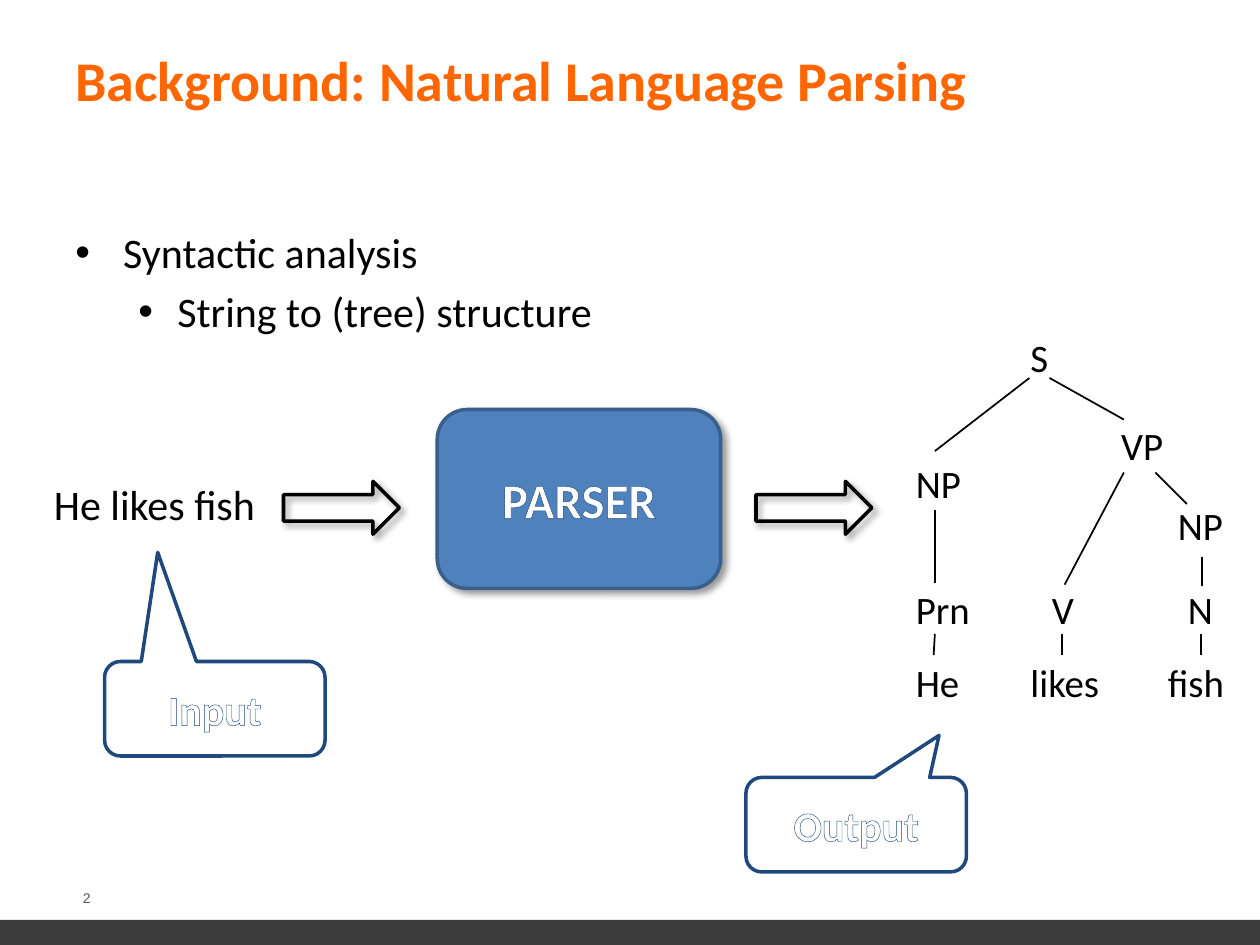
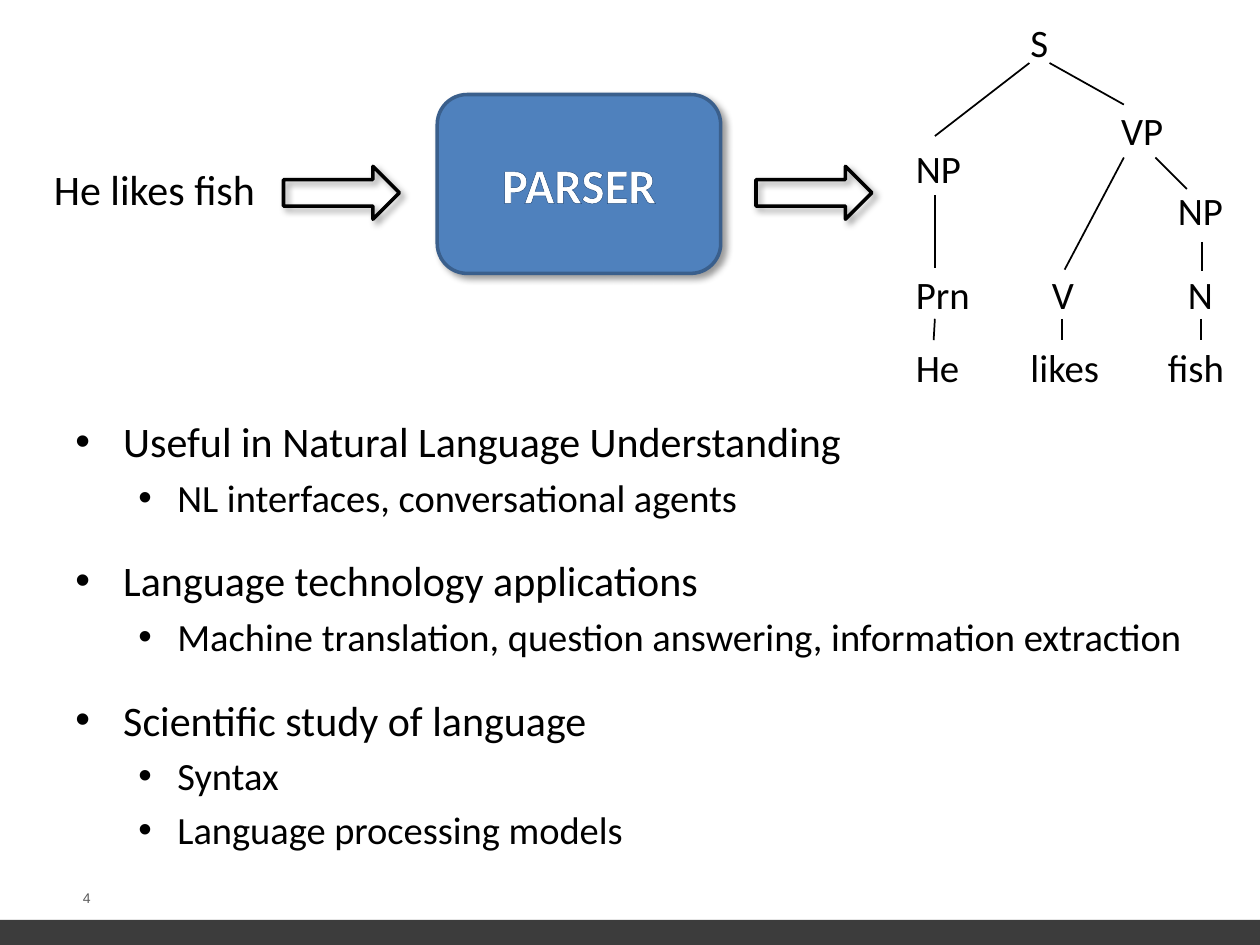
import pptx
import pptx.dml.color
import pptx.enum.shapes
import pptx.enum.text
import pptx.oxml
import pptx.oxml.ns
import pptx.util
from pptx.dml.color import RGBColor
from pptx.enum.shapes import MSO_SHAPE
from pptx.util import Inches, Pt

ORANGE = RGBColor(0xFF, 0x66, 0x00)
BLACK = RGBColor(0x00, 0x00, 0x00)
WHITE = RGBColor(0xFF, 0xFF, 0xFF)
BAND_GRAY = RGBColor(0x3C, 0x3C, 0x3C)
NUMBER_GRAY = RGBColor(0x5A, 0x5A, 0x5A)
PARSER_BLUE = RGBColor(0x4F, 0x81, 0xBD)
PARSER_EDGE = RGBColor(0x3A, 0x5F, 0x8C)
NAVY = RGBColor(0x1F, 0x49, 0x7D)

TREE_NODES = [
    ("S", 8.08, 0.17, 0.58),
    ("NP", 7.17, 1.17, 0.58),
    ("VP", 8.8, 0.87, 0.58),
    ("NP", 9.25, 1.5, 0.58),
    ("V", 8.25, 2.17, 0.58),
    ("N", 9.33, 2.17, 0.58),
    ("Prn", 7.17, 2.17, 0.75),
    ("He", 7.17, 2.75, 0.58),
    ("likes", 8.08, 2.75, 0.92),
    ("fish", 9.17, 2.75, 1),
]
TREE_BRANCHES = [
    (7.42, 2.53, 7.41, 2.7),
    (8.43, 2.53, 8.43, 2.7),
    (9.53, 2.53, 9.53, 2.7),
    (7.42, 1.55, 7.42, 2.13),
    (8.92, 1.25, 8.45, 2.14),
    (9.17, 1.25, 9.42, 1.5),
    (9.54, 1.92, 9.54, 2.15),
    (8.17, 0.5, 7.42, 1.08),
    (8.33, 0.5, 8.92, 0.83),
]


def add_xml(parent, tag, **attributes):
    child = pptx.oxml.parse_xml(f"<a:{tag} {pptx.oxml.ns.nsdecls('a')}/>")
    for name, value in attributes.items():
        child.set(name, str(value))
    parent.append(child)
    return child


def format_runs(paragraph, size, color=BLACK, bold=False, font="Calibri"):
    for run in paragraph.runs:
        run.font.name = font
        run.font.size = Pt(size)
        run.font.bold = bold
        run.font.color.rgb = color


def add_label(shapes, text, left, top, width, height, size, color=BLACK,
              font="Calibri", space=0.2, line_spacing=None):
    label = shapes.add_textbox(Inches(left), Inches(top), Inches(width), Inches(height))
    label.text_frame.word_wrap = True
    label.text_frame.text = text
    paragraph = label.text_frame.paragraphs[0]
    paragraph.space_before = Pt(round(space * size, 1))
    paragraph.line_spacing = line_spacing
    format_runs(paragraph, size, color, font=font)


def add_figure(slide, preset, left, top, width, height, fill=None, edge=None):
    figure = slide.shapes.add_shape(
        preset, Inches(left), Inches(top), Inches(width), Inches(height))
    figure.shadow.inherit = False
    if fill is None:
        figure.fill.background()
    else:
        figure.fill.solid()
        figure.fill.fore_color.rgb = fill
    if edge is None:
        figure.line.fill.background()
    else:
        figure.line.color.rgb = edge
        figure.line.width = Pt(2)
    return figure


def add_shadow(figure):
    effects = figure._element.spPr.find(pptx.oxml.ns.qn("a:effectLst"))
    shadow = add_xml(effects, "outerShdw", blurRad=Pt(4), dist=Pt(3),
                     dir=45 * 60000, algn="tl", rotWithShape=0)
    add_xml(add_xml(shadow, "srgbClr", val=BLACK), "alpha", val=40000)


def set_outlined_text(figure, text, size):
    figure.text_frame.text = text
    paragraph = figure.text_frame.paragraphs[0]
    paragraph.alignment = pptx.enum.text.PP_ALIGN.CENTER
    format_runs(paragraph, size, WHITE, bold=True)
    properties = paragraph.runs[0].font._element
    outline = add_xml(properties, "ln", w=Pt(0.75))
    add_xml(add_xml(outline, "solidFill"), "srgbClr", val=NAVY)
    properties.insert(0, outline)


def add_callout(slide, text, left, top, tip, fill=None):
    callout = add_figure(slide, MSO_SHAPE.ROUNDED_RECTANGULAR_CALLOUT,
                         left, top, 1.75, 0.75, fill, NAVY)
    for index, value in enumerate(tip):
        callout.adjustments[index] = value
    set_outlined_text(callout, text, 24)


def add_bullets(slide, top, height, items, group_gap=0):
    box = slide.shapes.add_textbox(Inches(0.5), Inches(top), Inches(9), Inches(height))
    frame = box.text_frame
    frame.word_wrap = True
    for index, (level, text, size) in enumerate(items):
        paragraph = frame.add_paragraph() if index else frame.paragraphs[0]
        paragraph.text = text
        paragraph.level = level
        starts_group = index > 0 and level == 0
        paragraph.space_before = Pt(group_gap if starts_group else round(0.2 * size, 1))
        format_runs(paragraph, size)
        margin, hanging = ((0.38, 0.38), (0.81, 0.31))[level]
        properties = paragraph._p.get_or_add_pPr()
        properties.set("marL", str(Inches(margin)))
        properties.set("indent", str(-Inches(hanging)))
        add_xml(properties, "buFont", typeface="Arial")
        add_xml(properties, "buChar", char="•")


def add_tree(slide, offset):
    tree = slide.shapes.add_group_shape().shapes
    for word, left, top, width in TREE_NODES:
        add_label(tree, word, left, top + offset, width, 0.42, 22.2, line_spacing=0.8)
    for x1, y1, x2, y2 in TREE_BRANCHES:
        branch = tree.add_connector(
            pptx.enum.shapes.MSO_CONNECTOR.STRAIGHT,
            Inches(x1), Inches(y1 + offset), Inches(x2), Inches(y2 + offset))
        branch.line.color.rgb = BLACK
        branch.line.width = Pt(1)
        add_xml(branch._element.spPr, "effectLst")


def add_parsing_diagram(slide, offset):
    add_label(slide.shapes, "He likes fish", 0.33, 1.25 + offset, 1.83, 0.67, 24)
    parser = add_figure(slide, MSO_SHAPE.ROUNDED_RECTANGLE, 3.47, 0.75 + offset,
                        2.25, 1.42, PARSER_BLUE, PARSER_EDGE)
    add_shadow(parser)
    set_outlined_text(parser, "PARSER", 28)
    add_tree(slide, offset)
    for left in (2.25, 6):
        arrow = add_figure(slide, MSO_SHAPE.RIGHT_ARROW, left, 1.32 + offset,
                           0.92, 0.42, edge=BLACK)
        add_shadow(arrow)


def add_footer(slide, number):
    add_figure(slide, MSO_SHAPE.RECTANGLE, 0, 7.3, 10, 0.2, BAND_GRAY)
    add_label(slide.shapes, number, 0.56, 7.01, 0.34, 0.23, 8, NUMBER_GRAY, "Arial", space=0)


def set_title(slide, text):
    title = slide.shapes.title
    title.left, title.top = Inches(0.5), Inches(0)
    title.width, title.height = Inches(9), Inches(1.25)
    title.text_frame.text = text
    title.text_frame.vertical_anchor = pptx.enum.text.MSO_ANCHOR.MIDDLE
    paragraph = title.text_frame.paragraphs[0]
    paragraph.alignment = pptx.enum.text.PP_ALIGN.LEFT
    format_runs(paragraph, 32, ORANGE, bold=True)


def build_background_slide(deck):
    slide = deck.slides.add_slide(deck.slide_layouts.get_by_name("Title Only"))
    add_footer(slide, "2")
    set_title(slide, "Background: Natural Language Parsing")
    add_bullets(slide, 1.75, 1.08, [
        (0, "Syntactic analysis", 24),
        (1, "String to (tree) structure", 24),
    ])
    add_parsing_diagram(slide, 2.5)
    add_callout(slide, "Input", 0.83, 5.25, (-0.259, -1.655, 0.167))
    add_callout(slide, "Output", 5.92, 6.17, (0.376, -0.945, 0.167), WHITE)


def build_uses_slide(deck):
    slide = deck.slides.add_slide(deck.slide_layouts.get_by_name("Blank"))
    add_footer(slide, "4")
    add_parsing_diagram(slide, 0)
    add_bullets(slide, 3.25, 3.5, [
        (0, "Useful in Natural Language Understanding", 24),
        (1, "NL interfaces, conversational agents", 22),
        (0, "Language technology applications", 24),
        (1, "Machine translation, question answering, information extraction", 22),
        (0, "Scientific study of language", 24),
        (1, "Syntax", 22),
        (1, "Language processing models", 22),
    ], group_gap=20)


def main():
    deck = pptx.Presentation()
    deck.slide_width, deck.slide_height = Inches(10), Inches(7.5)
    build_background_slide(deck)
    build_uses_slide(deck)
    deck.save("out.pptx")


if __name__ == "__main__":
    main()
